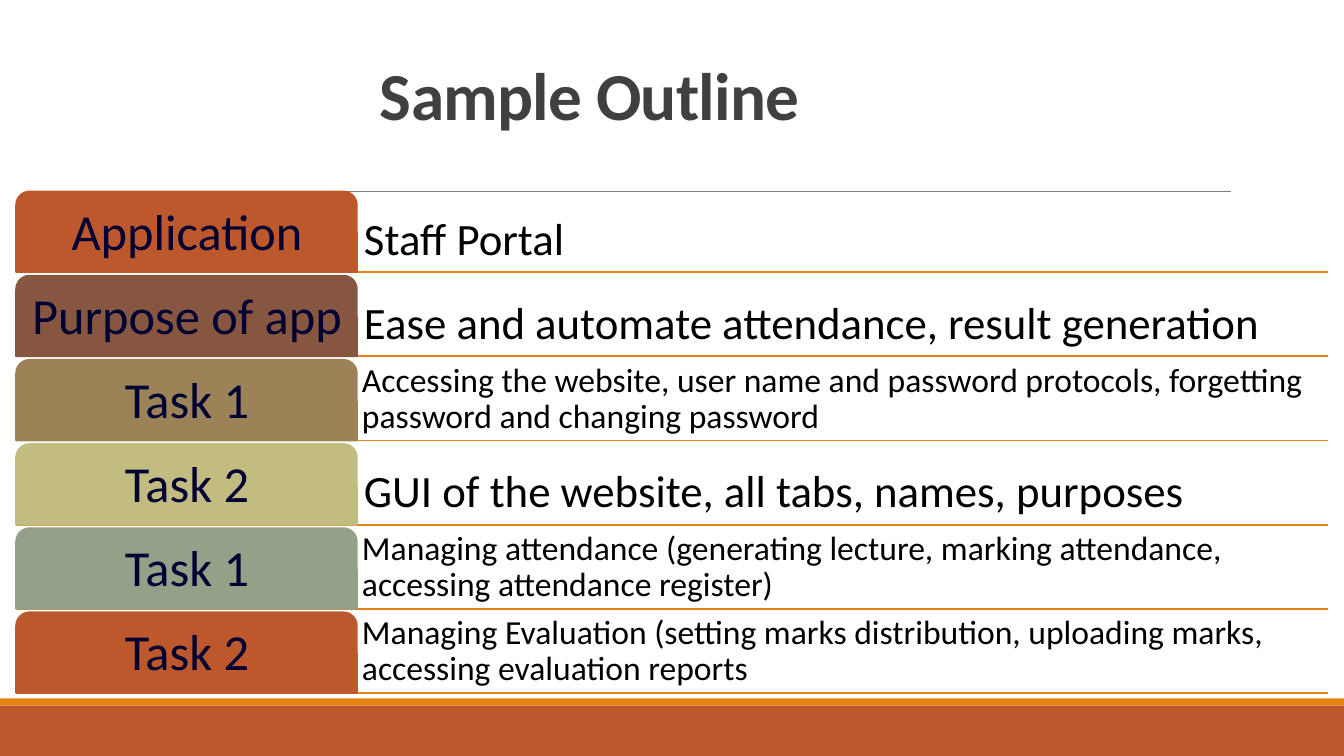
"""Build the sample outline slide."""
from dataclasses import dataclass

from pptx import Presentation
from pptx import util as u
from pptx.dml import color
from pptx.enum import shapes, text
from pptx.oxml import ns, xmlchemy

RUST, AMBER, NAVY = "BD582C", "E48312", "000033"
LEFT, SPLIT, RIGHT = 0.16, 3.54, 13.17
TOP, STEP, HIGH = 1.9, 0.835, 0.8


@dataclass
class Row:
    label: str
    fill: str
    body: str
    size: int = 32
    inset: float = 0.07


ROWS = [
    Row("Application", RUST, "Staff Portal"),
    Row("Purpose of app", "865640", "Ease and automate attendance, result generation"),
    Row("Task 1", "9B8357", "Accessing the website, user name and password protocols, "
        "forgetting password and changing password", 24, 0.05),
    Row("Task 2", "C2BC80", "GUI of the website, all tabs, names, purposes"),
    Row("Task 1", "94A088", "Managing attendance (generating lecture, marking attendance, "
        "accessing attendance register)", 24, 0.05),
    Row("Task 2", RUST, "Managing Evaluation (setting marks distribution, uploading marks, "
        "accessing evaluation reports", 24, 0.05),
]


def rgb(code: str) -> color.RGBColor:
    """Turn a hex string into a colour."""
    return color.RGBColor.from_string(code)


def block(slide, kind, x: float, y: float, w: float, h: float, fill: str, edge: float = 0):
    """Draw a filled shape, edged in its own colour if edge is set."""
    shape = slide.shapes.add_shape(kind, *map(u.Inches, (x, y, w, h)))
    shape.shadow.inherit = False
    shape.fill.solid()
    shape.fill.fore_color.rgb = rgb(fill)
    if edge:
        shape.line.color.rgb = rgb(fill)
        shape.line.width = u.Pt(edge)
    else:
        shape.line.fill.background()
    return shape


def rule(slide, x: float, end: float, y: float, code: str, width: float) -> None:
    """Draw a level line."""
    line = slide.shapes.add_connector(
        shapes.MSO_CONNECTOR.STRAIGHT, *map(u.Inches, (x, y, end, y)))
    line.line.color.rgb = rgb(code)
    line.line.width = u.Pt(width)
    line._element.spPr.append(xmlchemy.OxmlElement("a:effectLst"))


def write(slide, words: str, x: float, y: float, w: float, h: float, size: int, code: str,
          anchor=text.MSO_ANCHOR.BOTTOM, align=text.PP_ALIGN.LEFT,
          inset: float = 0.07, space: float = 0.9):
    """Place one paragraph in a wrapped box and return it."""
    frame = slide.shapes.add_textbox(*map(u.Inches, (x, y, w, h))).text_frame
    frame.word_wrap = True
    frame.vertical_anchor = anchor
    frame.margin_left = frame.margin_right = u.Inches(inset)
    frame.margin_top = frame.margin_bottom = u.Inches(inset)
    para = frame.paragraphs[0]
    para.text = words
    para.alignment = align
    para.line_spacing = space
    para.font.name = "Calibri"
    para.font.size = u.Pt(size)
    para.font.color.rgb = rgb(code)
    return para


def entry(slide, row: Row, y: float) -> None:
    """Draw one outline row with its tab, text and rule."""
    rule(slide, LEFT, RIGHT, y + HIGH, AMBER, 1.25)
    write(slide, row.body, SPLIT, y, RIGHT - SPLIT, HIGH, row.size, "000000", inset=row.inset)
    tab = block(slide, shapes.MSO_SHAPE.ROUND_2_SAME_RECTANGLE,
                LEFT, y, SPLIT - LEFT, HIGH, row.fill, 1.25)
    tab.adjustments[0] = 0.167
    tab.adjustments[1] = 0
    write(slide, row.label, LEFT + 0.04, y + 0.04, 3.31, 0.76, 36, NAVY,
          text.MSO_ANCHOR.MIDDLE, text.PP_ALIGN.CENTER)


def main() -> None:
    """Build and save the slide."""
    deck = Presentation()
    deck.slide_width, deck.slide_height = u.Inches(13.33), u.Inches(7.5)
    slide = deck.slides.add_slide(deck.slide_layouts[6])
    slide.background.fill.solid()
    slide.background.fill.fore_color.rgb = rgb("FFFFFF")

    block(slide, shapes.MSO_SHAPE.RECTANGLE, 0, 7, 13.33, 0.5, RUST)
    block(slide, shapes.MSO_SHAPE.RECTANGLE, 0, 6.93, 13.33, 0.07, AMBER)
    rule(slide, 1.31, 12.21, TOP, "808080", 0.5)

    title = write(slide, "Sample Outline", 3.67, 0.41, 4.62, 1.02, 48, "404040",
                  inset=0.1, space=0.85)
    title.font.bold = True
    title._p.find(ns.qn("a:r")).get_or_add_rPr().set("spc", "-50")

    for i, row in enumerate(ROWS):
        entry(slide, row, TOP + i * STEP)
    deck.save("out.pptx")


if __name__ == "__main__":
    main()
